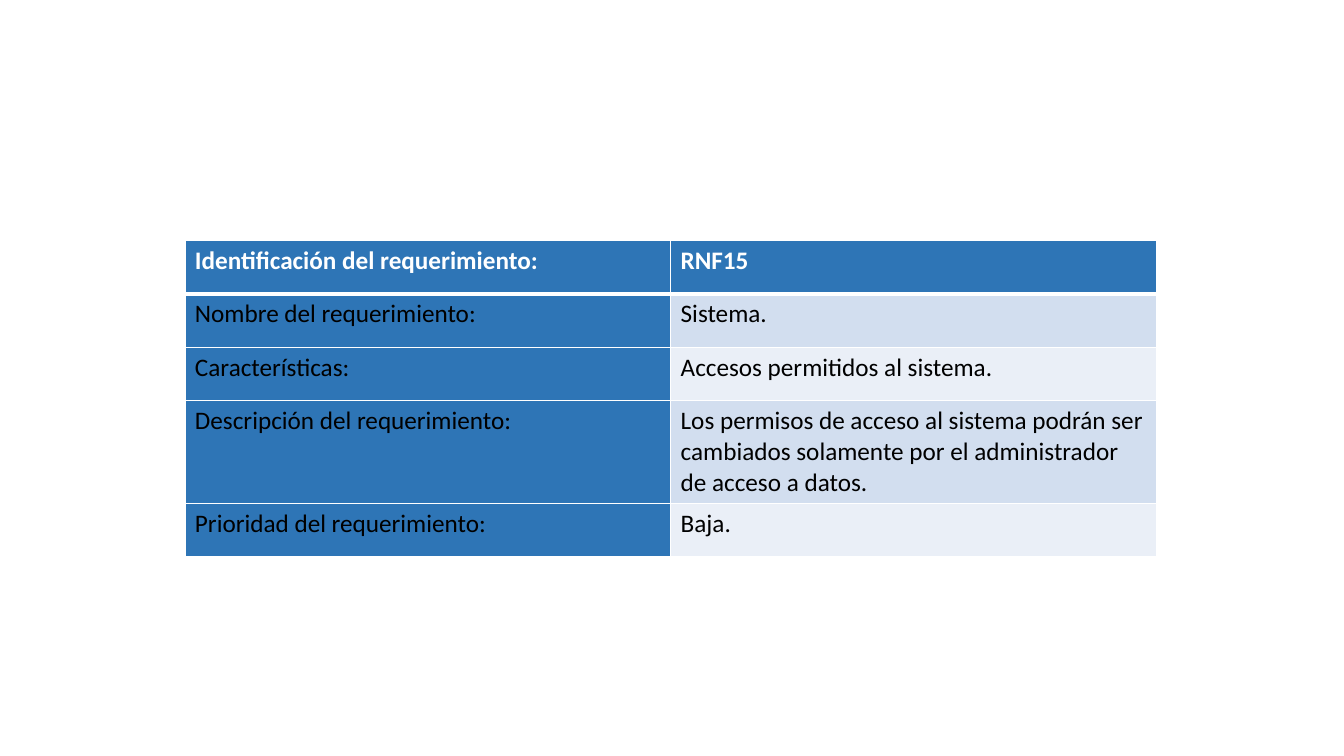
from lxml import etree
from pptx import Presentation
from pptx import util as u
from pptx.dml import color
from pptx.oxml import ns

BLUE, WHITE, BLACK = "2E75B6", "FFFFFF", "000000"
BANDS = ["D2DEEF", "EAEFF7"]
ROWS = [
    ("Identificación del requerimiento:", "RNF15"),
    ("Nombre del requerimiento:", "Sistema."),
    ("Características:", "Accesos permitidos al sistema."),
    ("Descripción del requerimiento:",
     "Los permisos de acceso al sistema podrán ser cambiados "
     "solamente por el administrador de acceso a datos."),
    ("Prioridad del requerimiento:", "Baja."),
]


def rgb(code):
    """Turn a hex string into a colour."""
    return color.RGBColor.from_string(code)


class Deck:
    """Holds the text style and the current slide."""

    font, size = "Calibri", 18

    def __init__(self, wide, high):
        """Start a deck with one blank slide."""
        self.deck = Presentation()
        self.deck.slide_width, self.deck.slide_height = u.Cm(wide), u.Cm(high)
        self.slide = self.deck.slides.add_slide(self.deck.slide_layouts[6])

    def edge(self, cell, side, width):
        """Draw a white border on one side of a cell."""
        line = etree.SubElement(cell._tc.get_or_add_tcPr(),
                                ns.qn("a:ln" + side), w=str(u.Pt(width)))
        fill = etree.SubElement(line, ns.qn("a:solidFill"))
        etree.SubElement(fill, ns.qn("a:srgbClr"), val=WHITE)

    def cell(self, cell, words, fill, head, top):
        """Fill a cell and style its text; head marks the first row."""
        for side in "LRTB":
            width = 3 if (side == "B" and head) or (side == "T" and top) else 1
            self.edge(cell, side, width)
        cell.fill.solid()
        cell.fill.fore_color.rgb = rgb(fill)
        cell.text = words
        font = cell.text_frame.paragraphs[0].font
        font.name, font.size, font.bold = self.font, u.Pt(self.size), head
        font.color.rgb = rgb(WHITE if head else BLACK)

    def table(self, rows, left, top, wide, high, step):
        """Add a table with a blue head row and a blue first column."""
        frame = self.slide.shapes.add_table(
            len(rows), len(rows[0]), u.Cm(left), u.Cm(top), u.Cm(wide), u.Cm(high))
        grid = frame.table
        for i, row in enumerate(rows):
            grid.rows[i].height = u.Cm(step)
            for j, words in enumerate(row):
                fill = BLUE if i == 0 or j == 0 else BANDS[(i - 1) % 2]
                self.cell(grid.cell(i, j), words, fill, i == 0, i == 1)
        frame.height = u.Cm(high)


deck = Deck(33.87, 19.05)
deck.table(ROWS, left=4.66, top=6.05, wide=24.48, high=7.93, step=1.35)
deck.deck.save("out.pptx")
